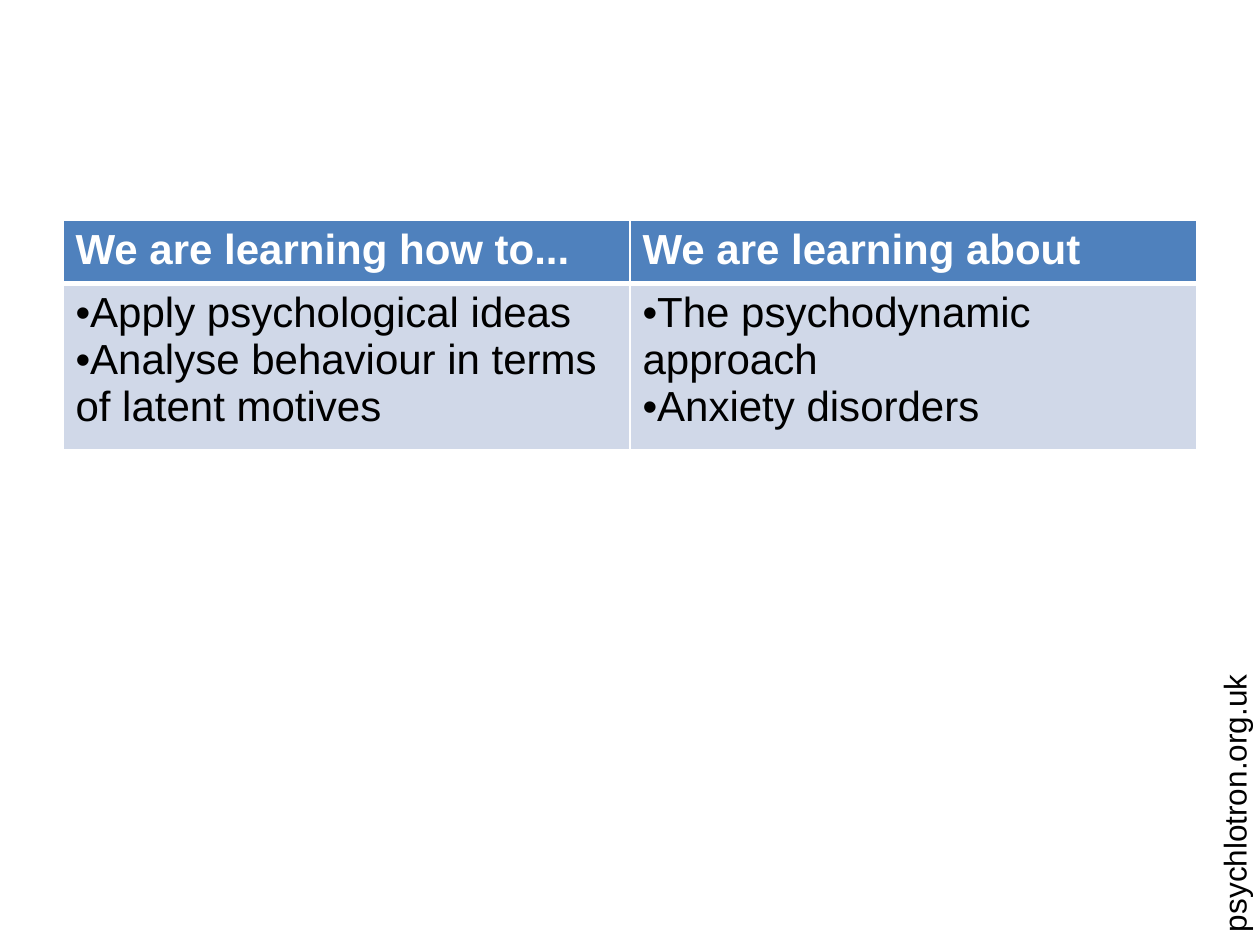
"""Build a slide with a table of learning aims and a web address on its side."""
from dataclasses import dataclass

from lxml.etree import SubElement
from pptx import Presentation
from pptx.dml.color import RGBColor
from pptx.enum.text import MSO_AUTO_SIZE
from pptx.oxml import parse_xml
from pptx.oxml.ns import nsdecls, qn
from pptx.util import Inches, Pt

WHITE, BLACK, BLUE, PALE_BLUE = "FFFFFF", "000000", "4F81BD", "D0D8E8"
ROW_HEIGHTS = (0.48, 1.32)
COLUMN_WIDTH = 4.5


@dataclass(frozen=True)
class CellStyle:
    fill: str
    color: str
    bold: bool
    bulleted: bool
    bottom_border: int


@dataclass(frozen=True)
class LearningColumn:
    heading: str
    points: tuple[str, ...]


HEADER = CellStyle(BLUE, WHITE, True, False, 3)
BODY = CellStyle(PALE_BLUE, BLACK, False, True, 1)
COLUMNS = (
    LearningColumn(
        "We are learning how to...",
        ("Apply psychological ideas", "Analyse behaviour in terms of latent motives"),
    ),
    LearningColumn(
        "We are learning about",
        ("The psychodynamic approach", "Anxiety disorders"),
    ),
)


def rgb(color: str) -> RGBColor:
    """Turn a hex string into a colour."""
    return RGBColor.from_string(color)


def add_span(para, text: str, size: int, color: str, bold: bool = False) -> None:
    """Add one formatted run to a paragraph."""
    span = para.add_run()
    span.text = text
    span.font.name = "Arial"
    span.font.size = Pt(size)
    span.font.bold = bold
    span.font.color.rgb = rgb(color)


def add_bullet(para) -> None:
    """Give a paragraph a bullet with no indent."""
    properties = para._p.get_or_add_pPr()
    properties.set("marL", "0")
    properties.set("indent", "0")
    SubElement(properties, qn("a:buFont")).set("typeface", "Arial")
    SubElement(properties, qn("a:buChar")).set("char", "•")


def set_borders(cell, bottom: int) -> None:
    """Draw white borders around a cell."""
    properties = cell._tc.get_or_add_tcPr()
    widths = {"lnL": 1, "lnR": 1, "lnT": 1, "lnB": bottom}
    for position, (side, width) in enumerate(widths.items()):
        border = parse_xml(
            f'<a:{side} {nsdecls("a")} w="{Pt(width)}"><a:solidFill>'
            f'<a:srgbClr val="{WHITE}"/></a:solidFill></a:{side}>'
        )
        properties.insert(position, border)


def fill_cell(cell, lines: tuple[str, ...], style: CellStyle) -> None:
    """Write the lines of a cell and style it."""
    cell.fill.solid()
    cell.fill.fore_color.rgb = rgb(style.fill)
    set_borders(cell, style.bottom_border)
    frame = cell.text_frame
    for index, line in enumerate(lines):
        para = frame.add_paragraph() if index else frame.paragraphs[0]
        if style.bulleted:
            add_bullet(para)
        add_span(para, line, 24, style.color, style.bold)


def add_learning_table(page) -> None:
    """Add the table of learning aims."""
    table = page.shapes.add_table(
        len(ROW_HEIGHTS), len(COLUMNS), Inches(0.5), Inches(1.75),
        Inches(COLUMN_WIDTH * len(COLUMNS)), Inches(sum(ROW_HEIGHTS)),
    ).table
    for row, height in zip(table.rows, ROW_HEIGHTS):
        row.height = Inches(height)
    for index, column in enumerate(COLUMNS):
        table.columns[index].width = Inches(COLUMN_WIDTH)
        fill_cell(table.cell(0, index), (column.heading,), HEADER)
        fill_cell(table.cell(1, index), column.points, BODY)


def add_web_address(page) -> None:
    """Add the web address reading upwards along the right edge."""
    box = page.shapes.add_textbox(Inches(8.14), Inches(5.64), Inches(3.31), Inches(0.4))
    box.rotation = 270
    box.text_frame.word_wrap = True
    box.text_frame.auto_size = MSO_AUTO_SIZE.SHAPE_TO_FIT_TEXT
    add_span(box.text_frame.paragraphs[0], "psychlotron.org.uk", 18, BLACK)


def main() -> None:
    """Build and save the deck."""
    deck = Presentation()
    deck.slide_width, deck.slide_height = Inches(10), Inches(7.5)
    page = deck.slides.add_slide(deck.slide_layouts[6])
    add_web_address(page)
    add_learning_table(page)
    deck.save("out.pptx")


if __name__ == "__main__":
    main()
